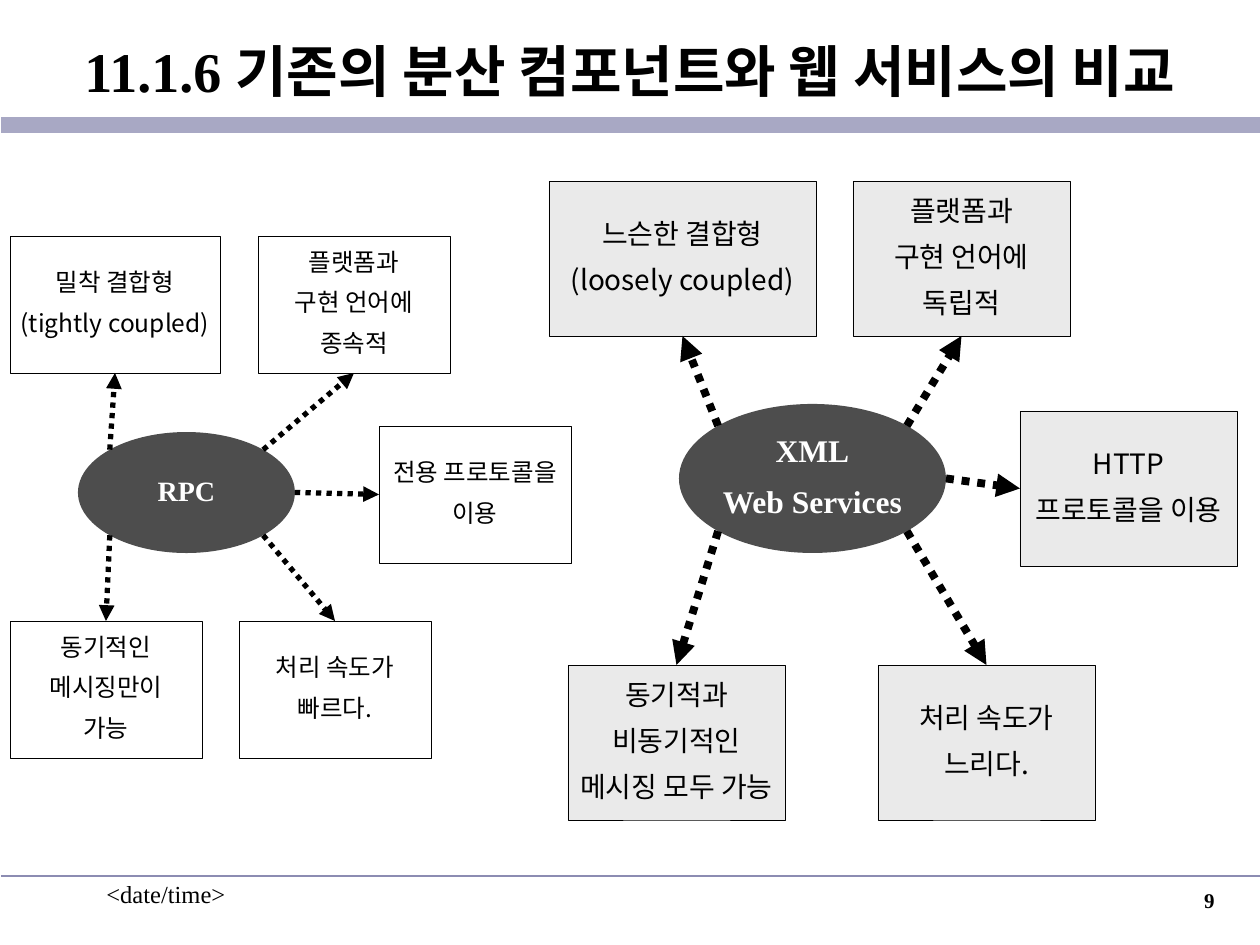
"""Build the slide comparing RPC components with XML web services."""
import lxml.etree
import pptx
import pptx.dml.color
import pptx.enum.dml
import pptx.enum.shapes
import pptx.enum.text
import pptx.oxml.ns
import pptx.util

PX = 914400 / 126
DIAGONAL = 0.707
THEME = {
    "ink": "000000", "paper": "FFFFFF", "hub": "4D4D4D", "card": "EAEAEA",
    "band": "A8A8C4", "rule": "8C8CB2",
    "serif": "Times New Roman", "sans": "Noto Sans CJK KR",
    "title": 32, "date": 14, "page": 12,
}
ALIGN = pptx.enum.text.PP_ALIGN
SHAPE = pptx.enum.shapes.MSO_SHAPE
qn = pptx.oxml.ns.qn


def emu(*lengths):
    return [round(length * PX) for length in lengths]


def write(holder, text, size, font="serif", color="ink", bold=False, align=ALIGN.LEFT,
          middle=False, wrap=True, spacing=None, before=None, indent=0):
    frame = holder.text_frame
    frame.word_wrap = wrap
    anchor = pptx.enum.text.MSO_ANCHOR
    frame.vertical_anchor = anchor.MIDDLE if middle else anchor.TOP
    frame.text = text
    for paragraph in frame.paragraphs:
        paragraph.alignment = align
        paragraph.line_spacing = spacing
        if before:
            paragraph.space_before = pptx.util.Pt(before)
        if indent:
            paragraph._p.get_or_add_pPr().set("marL", str(emu(indent)[0]))
        for run in paragraph.runs:
            run.font.size = pptx.util.Pt(size)
            run.font.bold = bold
            run.font.color.rgb = pptx.dml.color.RGBColor.from_string(THEME[color])
            run.font.name = THEME[font]
            lxml.etree.SubElement(run._r.rPr, qn("a:ea"), typeface=THEME["sans"])


deck = pptx.Presentation()
deck.slide_width, deck.slide_height = emu(1260, 945)
slide = deck.slides.add_slide(deck.slide_layouts[6])
shapes = slide.shapes

for y, color, weight in [(125, "band", 9.25), (876, "rule", 1)]:
    divider = shapes.add_connector(pptx.enum.shapes.MSO_CONNECTOR.STRAIGHT, *emu(1, y, 1260, y))
    divider.line.color.rgb = pptx.dml.color.RGBColor.from_string(THEME[color])
    divider.line.width = pptx.util.Pt(weight)
    lxml.etree.SubElement(divider._element.spPr, qn("a:effectLst"))

title = shapes.add_textbox(*emu(1, 14, 1259, 113))
write(title, "11.1.6 기존의 분산 컴포넌트와 웹 서비스의 비교", THEME["title"],
      bold=True, middle=True, indent=71)
date = shapes.add_textbox(*emu(94, 873, 262, 63))
write(date, "<date/time>", THEME["date"])
page_number = shapes.add_textbox(*emu(965, 881, 262, 63))
write(page_number, "9", THEME["page"], bold=True, align=ALIGN.RIGHT)

models = [
    {"name": "RPC", "hub": (78, 432, 217, 121), "hub_type": (16, 10), "type": (14, 8.8),
     "fill": None, "height": 137, "arrow": 3, "traits": [
         ("밀착 결합형\n(tightly coupled)", 10, 236, 210, -DIAGONAL, -DIAGONAL, 2),
         ("플랫폼과\n구현 언어에\n종속적", 258, 236, 192, DIAGONAL, -DIAGONAL, 2),
         ("전용 프로토콜을\n이용", 379, 426, 192, 1, 0, 1),
         ("처리 속도가\n빠르다.", 239, 621, 192, DIAGONAL, DIAGONAL, 0),
         ("동기적인\n메시징만이\n가능", 10, 621, 192, -DIAGONAL, DIAGONAL, 0)]},
    {"name": "XML\nWeb Services", "hub": (679, 404, 267, 149), "hub_type": (18, 11.2),
     "type": (16, 10), "fill": "card", "height": 155, "arrow": 4.5, "traits": [
         ("느슨한 결합형\n(loosely coupled)", 549, 181, 267, -DIAGONAL, -DIAGONAL, 2),
         ("플랫폼과\n구현 언어에\n독립적", 853, 181, 217, DIAGONAL, -DIAGONAL, 2),
         ("HTTP\n프로토콜을 이용", 1020, 411, 217, 1, 0, 1),
         ("처리 속도가\n느리다.", 878, 665, 217, DIAGONAL, DIAGONAL, 0),
         ("동기적과\n비동기적인\n메시징 모두 가능", 568, 665, 217, -DIAGONAL, DIAGONAL, 0)]},
]

for model in models:
    left, top, width, height = model["hub"]
    hub = shapes.add_shape(SHAPE.OVAL, *emu(left, top, width, height))
    hub.shadow.inherit = False
    hub.fill.solid()
    hub.fill.fore_color.rgb = pptx.dml.color.RGBColor.from_string(THEME["hub"])
    hub.line.fill.background()
    size, before = model["hub_type"]
    write(hub, model["name"], size, color="paper", bold=True, align=ALIGN.CENTER,
          middle=True, wrap=False, spacing=0.85, before=before)

    size, before = model["type"]
    for text, x, y, trait_width, across, down, side in model["traits"]:
        trait = shapes.add_shape(SHAPE.RECTANGLE, *emu(x, y, trait_width, model["height"]))
        trait.shadow.inherit = False
        if model["fill"]:
            trait.fill.solid()
            trait.fill.fore_color.rgb = pptx.dml.color.RGBColor.from_string(THEME[model["fill"]])
        else:
            trait.fill.background()
        trait.line.color.rgb = pptx.dml.color.RGBColor.from_string(THEME["ink"])
        trait.line.width = pptx.util.Pt(0.25)
        write(trait, text, size, font="sans", align=ALIGN.CENTER, middle=True,
              wrap=False, spacing=0.85, before=before)

        start_x = left + width / 2 * (1 + across)
        start_y = top + height / 2 * (1 + down)
        arrow = shapes.add_connector(pptx.enum.shapes.MSO_CONNECTOR.STRAIGHT,
                                     *emu(start_x, start_y, x, y))
        arrow.end_connect(trait, side)
        arrow.line.color.rgb = pptx.dml.color.RGBColor.from_string(THEME["ink"])
        arrow.line.width = pptx.util.Pt(model["arrow"])
        arrow.line.dash_style = pptx.enum.dml.MSO_LINE.ROUND_DOT
        lxml.etree.SubElement(arrow.line._get_or_add_ln(), qn("a:tailEnd"), type="triangle")
        lxml.etree.SubElement(arrow._element.spPr, qn("a:effectLst"))

deck.save("out.pptx")
